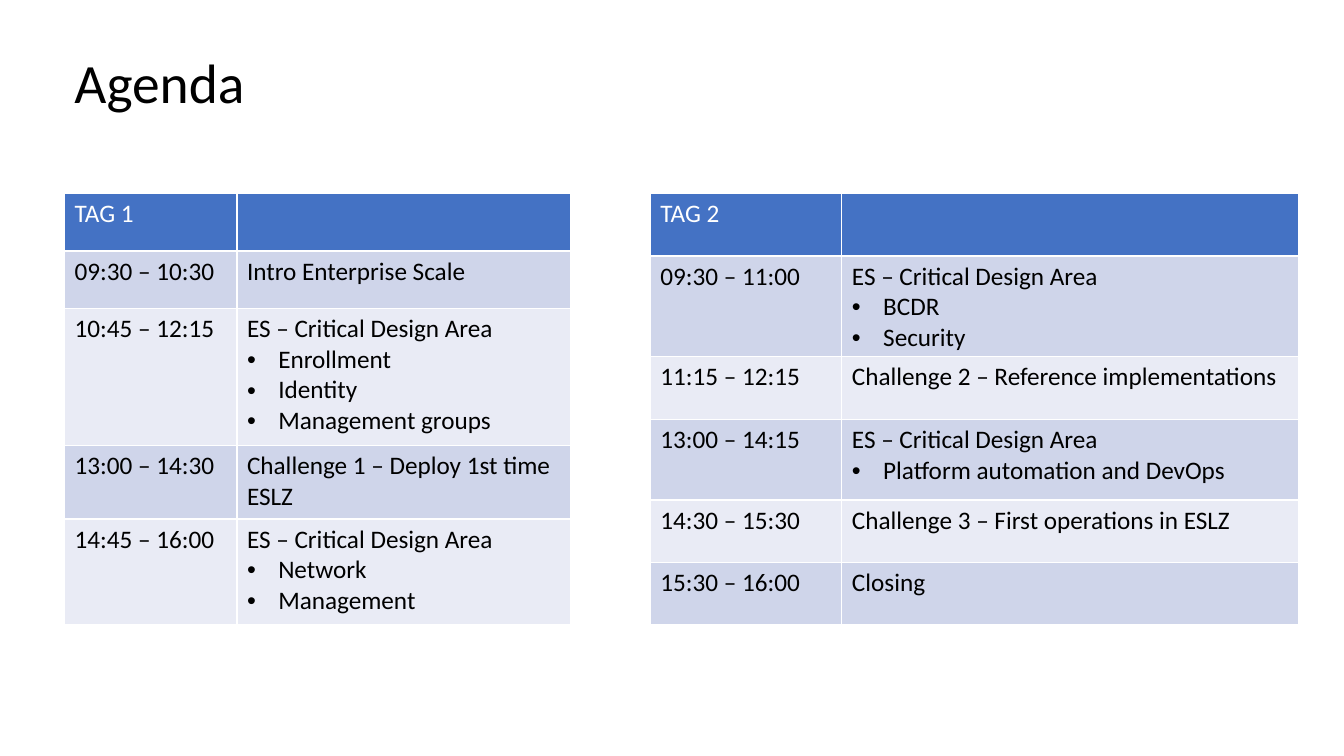
from lxml import etree
from pptx import Presentation
from pptx.dml.color import RGBColor
from pptx.oxml.ns import qn
from pptx.util import Inches, Pt

BLACK = RGBColor(0x00, 0x00, 0x00)
WHITE = RGBColor(0xFF, 0xFF, 0xFF)
HEADER_BLUE = RGBColor(0x44, 0x72, 0xC4)
BANDS = [RGBColor(0xE9, 0xEB, 0xF5), RGBColor(0xCF, 0xD5, 0xEA)]
FONT = "Calibri"
DESIGN_AREA = "ES – Critical Design Area"

# Each row: height, time, topic, bullet points
DAY_1 = [
    (0.57, "TAG 1", "", []),
    (0.57, "09:30 – 10:30", "Intro Enterprise Scale", []),
    (1.36, "10:45 – 12:15", DESIGN_AREA, ["Enrollment", "Identity", "Management groups"]),
    (0.73, "13:00 – 14:30", "Challenge 1 – Deploy 1st time ESLZ", []),
    (1.05, "14:45 – 16:00", DESIGN_AREA, ["Network", "Management"]),
]
DAY_2 = [
    (0.62, "TAG 2", "", []),
    (0.8, "09:30 – 11:00", DESIGN_AREA, ["BCDR", "Security"]),
    (0.62, "11:15 – 12:15", "Challenge 2 – Reference implementations", []),
    (0.8, "13:00 – 14:15", DESIGN_AREA, ["Platform automation and DevOps"]),
    (0.62, "14:30 – 15:30", "Challenge 3 – First operations in ESLZ", []),
    (0.62, "15:30 – 16:00", "Closing", []),
]


def add_bullet(paragraph):
    properties = paragraph._p.get_or_add_pPr()
    properties.set("marL", str(Inches(0.31)))
    properties.set("indent", str(Inches(-0.31)))
    bullet_font = etree.SubElement(properties, qn("a:buFont"))
    bullet_font.set("typeface", "Arial")
    etree.SubElement(properties, qn("a:buChar")).set("char", "•")


presentation = Presentation()
presentation.slide_width = Inches(13.33)
presentation.slide_height = Inches(7.5)
slide = presentation.slides.add_slide(presentation.slide_layouts[6])

title = slide.shapes.add_textbox(Inches(0.64), Inches(0.5), Inches(12.05), Inches(0.61))
title.text_frame.word_wrap = True
paragraph = title.text_frame.paragraphs[0]
paragraph.text = "Agenda"
paragraph.line_spacing = 0.9
paragraph.font.name = FONT
paragraph.font.size = Pt(39.6)
paragraph.font.color.rgb = BLACK

for left, column_widths, agenda in [(0.64, (1.71, 3.31), DAY_1), (6.45, (1.9, 4.53), DAY_2)]:
    height = sum(row[0] for row in agenda)
    table = slide.shapes.add_table(
        len(agenda), 2, Inches(left), Inches(1.92), Inches(sum(column_widths)), Inches(height)
    ).table
    for column, width in zip(table.columns, column_widths):
        column.width = Inches(width)

    for row_index, (row_height, time, topic, points) in enumerate(agenda):
        table.rows[row_index].height = Inches(row_height)
        is_header = row_index == 0
        for column_index, lines in enumerate([[time], [topic, *points]]):
            cell = table.cell(row_index, column_index)
            cell.fill.solid()
            cell.fill.fore_color.rgb = HEADER_BLUE if is_header else BANDS[row_index % 2]
            cell.text = "\n".join(lines)
            for line_index, paragraph in enumerate(cell.text_frame.paragraphs):
                paragraph.font.name = FONT
                paragraph.font.size = Pt(18)
                paragraph.font.bold = False
                paragraph.font.color.rgb = WHITE if is_header else BLACK
                if line_index > 0:
                    add_bullet(paragraph)

presentation.save("out.pptx")
